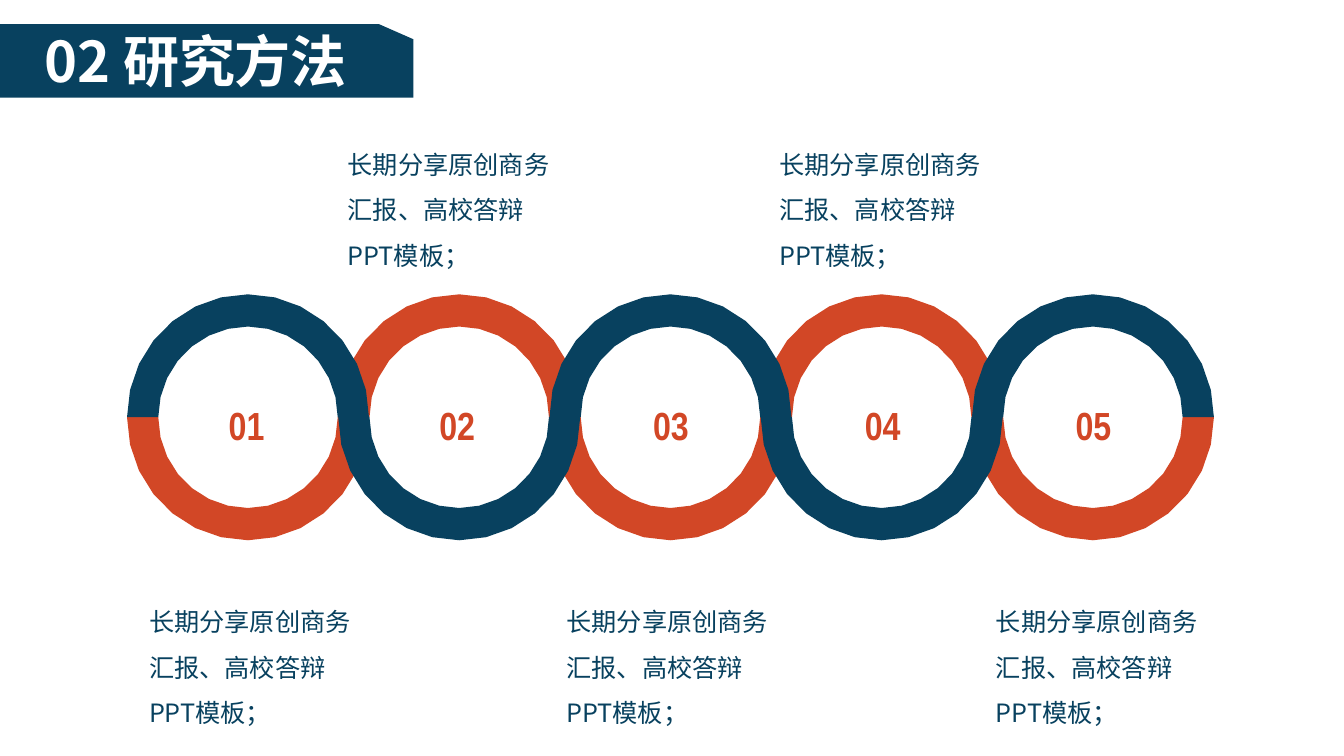
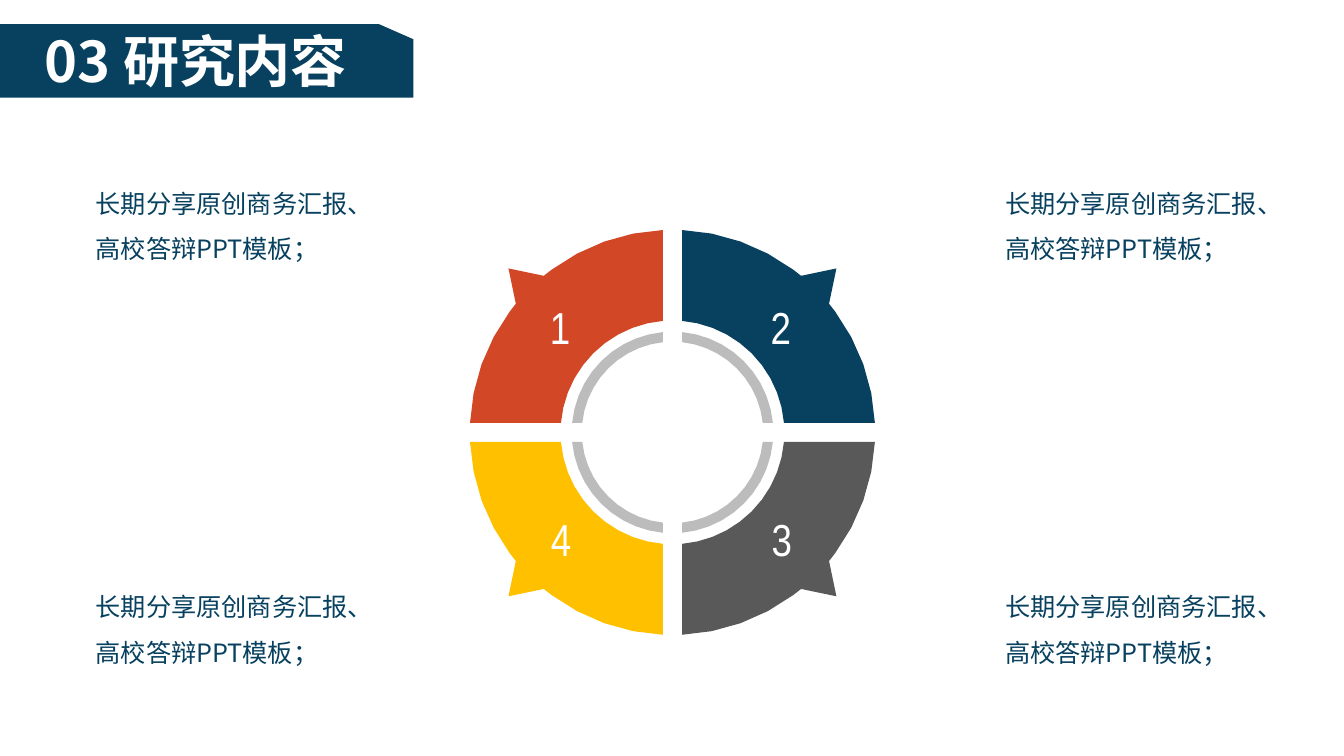
import math
from dataclasses import dataclass

import pptx
import pptx.dml.color
import pptx.enum.text
import pptx.oxml.ns
import pptx.util
from lxml import etree

Inches = pptx.util.Inches
CENTER = pptx.enum.text.PP_ALIGN.CENTER
MIDDLE = pptx.enum.text.MSO_ANCHOR.MIDDLE
GROW = pptx.enum.text.MSO_AUTO_SIZE.SHAPE_TO_FIT_TEXT


@dataclass(frozen=True)
class Theme:
    navy: str = "08415F"
    orange: str = "D24726"
    yellow: str = "FFC000"
    dark_grey: str = "595959"
    light_grey: str = "BBBCBB"
    white: str = "FFFFFF"
    text_font: str = "Noto Sans CJK SC"
    number_font: str = "Arial Narrow"
    title_size: int = 40
    wedge_number_size: int = 32
    ring_number_size: int = 28
    body_size: int = 18


THEME = Theme()
BODY = "长期分享原创商务汇报、高校答辩PPT模板；"


def add_outlines(slide, contours, color):
    """Draw one filled shape from closed contours given in inches."""
    builder = None
    for contour in contours:
        start, *rest = [(Inches(x), Inches(y)) for x, y in contour]
        if builder is None:
            builder = slide.shapes.build_freeform(*start, scale=1.0)
        else:
            builder.move_to(*start)
        builder.add_line_segments(rest, close=True)
    sp = builder.convert_to_shape()
    sp.shadow.inherit = False
    sp.fill.solid()
    sp.fill.fore_color.rgb = pptx.dml.color.RGBColor.from_string(color)
    sp.line.fill.background()


def add_text(slide, text, box, font, size, color, bold=False, frame=None, paragraph=None):
    tf = slide.shapes.add_textbox(*map(Inches, box)).text_frame
    p = tf.paragraphs[0]
    r = p.add_run()
    r.text = text
    formats = (
        (tf, {"word_wrap": True, **(frame or {"auto_size": GROW})}),
        (p, paragraph or {}),
        (r.font, {"name": font, "size": pptx.util.Pt(size), "bold": bold}),
    )
    for target, values in formats:
        for name, value in values.items():
            setattr(target, name, value)
    r.font.color.rgb = pptx.dml.color.RGBColor.from_string(color)
    ea = etree.SubElement(r.font._element, pptx.oxml.ns.qn("a:ea"))
    ea.set("typeface", font)


def add_body(slide, left, top, width, height):
    add_text(slide, BODY, (left, top, width, height), THEME.text_font,
             THEME.body_size, THEME.navy, paragraph={"line_spacing": 1.5})


def add_titled_slide(prs, title):
    slide = prs.slides.add_slide(prs.slide_layouts[6])
    banner = [(4.1, 0.39), (3.76, 0.24), (0, 0.24), (0, 0.97), (4.1, 0.97)]
    add_outlines(slide, [banner], THEME.navy)
    add_text(slide, title, (-0.82, 0.21, 5.52, 0.77), THEME.text_font,
             THEME.title_size, THEME.white, bold=True, paragraph={"alignment": CENTER})
    return slide


def half_ring(center_x, side):
    """Contour of a half ring, upper for side -1 and lower for side 1."""
    center_y, steps = 4.14, 14
    angles = [math.pi * i / steps for i in range(steps + 1)]

    def edge(radius_x, radius_y):
        return [(center_x - radius_x * math.cos(angle),
                 center_y + side * radius_y * math.sin(angle)) for angle in angles]

    return edge(1.2, 1.22) + edge(0.89, 0.9)[::-1]


def build_methods(prs):
    slide = add_titled_slide(prs, "02 研究方法")
    number_lefts = (1.54, 3.63, 5.75, 7.85, 9.94)
    body_lefts = (1.38, 3.35, 5.52, 7.63, 9.78)
    first_center, last_center = 2.46, 10.84
    pitch = (last_center - first_center) / (len(number_lefts) - 1)
    for color, first_side in ((THEME.orange, 1), (THEME.navy, -1)):
        add_outlines(slide, [half_ring(first_center + i * pitch, first_side * (-1) ** i)
                             for i in range(len(number_lefts))], color)

    margins = ("margin_left", "margin_top", "margin_right", "margin_bottom")
    frame = {"vertical_anchor": MIDDLE, **dict.fromkeys(margins, 0)}
    for number, left in enumerate(number_lefts, 1):
        add_text(slide, f"{number:02}", (left, 3.59, 1.81, 1.16),
                 THEME.number_font, THEME.ring_number_size, THEME.orange, bold=True,
                 frame=frame, paragraph={"alignment": CENTER, "line_spacing": 1.2})
    for i, left in enumerate(body_lefts):
        add_body(slide, left, 1.28 if i % 2 else 5.82, 2.26, 1.41)


def arc(radius, gap):
    """Radius and angle of points on a quarter circle, gap inches off both axes."""
    steps = 10
    start = math.asin(gap / radius)
    sweep = math.pi / 2 - 2 * start
    return [(radius, start + sweep * i / steps) for i in range(steps + 1)]


def quarter(direction, inner, outer, tip=None):
    """Contour of a quarter band, with an outward pointer at 45 degrees if tip is given."""
    center_x, center_y, gap = 6.67, 4.29, 0.095
    rim = arc(outer, gap)
    if tip:
        middle, half = math.pi / 4, math.radians(5.6)
        rim = ([pt for pt in rim if pt[1] < middle - half]
               + [(outer, middle - half), (tip, middle), (outer, middle + half)]
               + [pt for pt in rim if pt[1] > middle + half])
    dx, dy = direction
    return [(center_x + dx * radius * math.cos(angle),
             center_y + dy * radius * math.sin(angle))
            for radius, angle in rim + arc(inner, gap)[::-1]]


def build_contents(prs):
    slide = add_titled_slide(prs, "03 研究内容")
    quarters = (
        ("1", (-1, -1), THEME.orange, (5.2, 2.92)),
        ("4", (-1, 1), THEME.yellow, (5.21, 5.03)),
        ("2", (1, -1), THEME.navy, (7.39, 2.92)),
        ("3", (1, 1), THEME.dark_grey, (7.4, 5.03)),
    )
    add_outlines(slide, [quarter(direction, 0.9, 1) for _, direction, _, _ in quarters],
                 THEME.light_grey)
    for _, direction, color, _ in quarters:
        add_outlines(slide, [quarter(direction, 1.11, 2.01, tip=2.3)], color)
    for number, _, _, corner in quarters:
        add_text(slide, number, (*corner, 0.71, 0.64), THEME.number_font,
                 THEME.wedge_number_size, THEME.white, paragraph={"alignment": CENTER})
    for left in (0.85, 9.87):
        for top in (1.67, 5.67):
            add_body(slide, left, top, 3.12, 1.01)


def main():
    prs = pptx.Presentation()
    prs.slide_width, prs.slide_height = Inches(13.33), Inches(7.5)
    build_methods(prs)
    build_contents(prs)
    prs.save("out.pptx")


if __name__ == "__main__":
    main()
